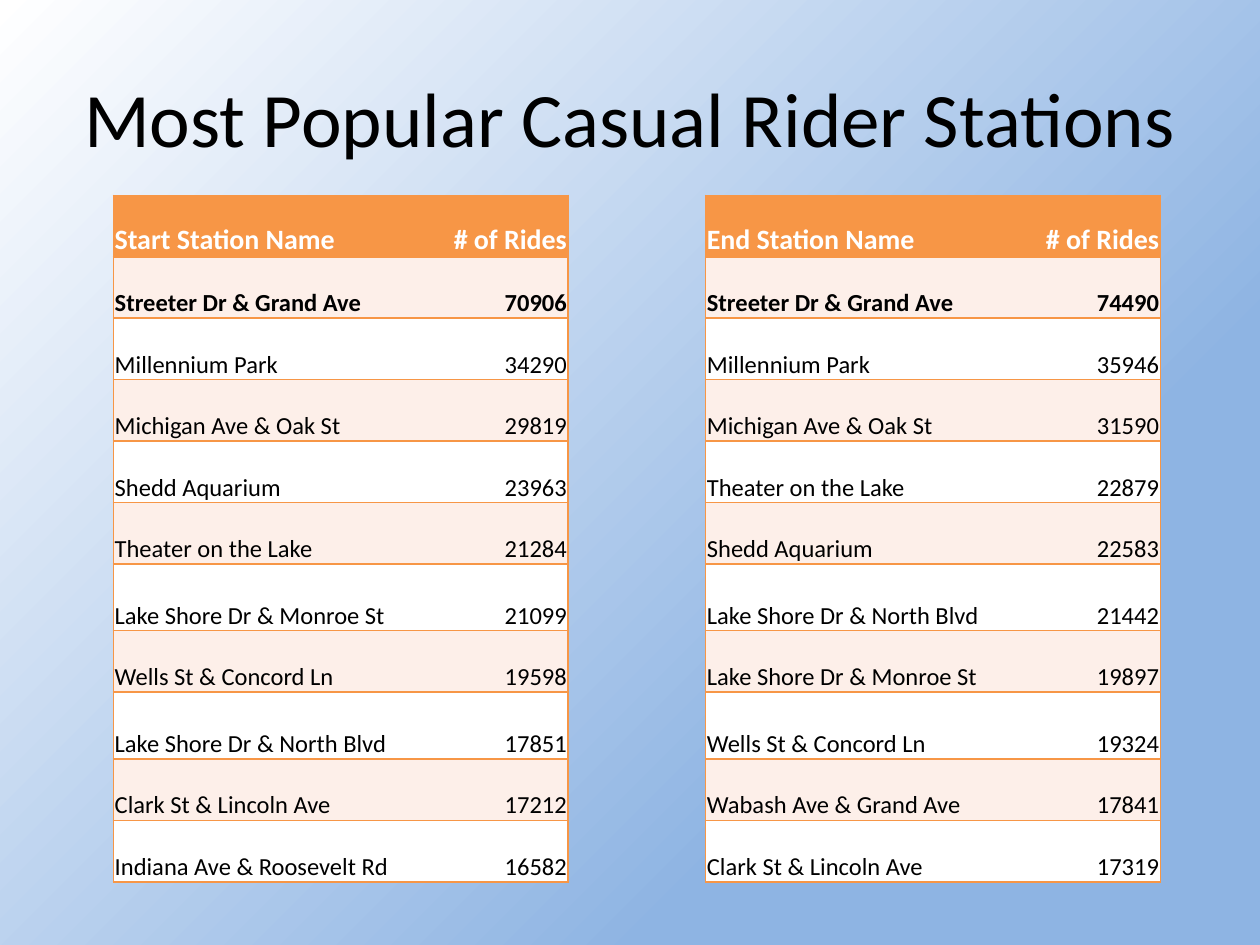
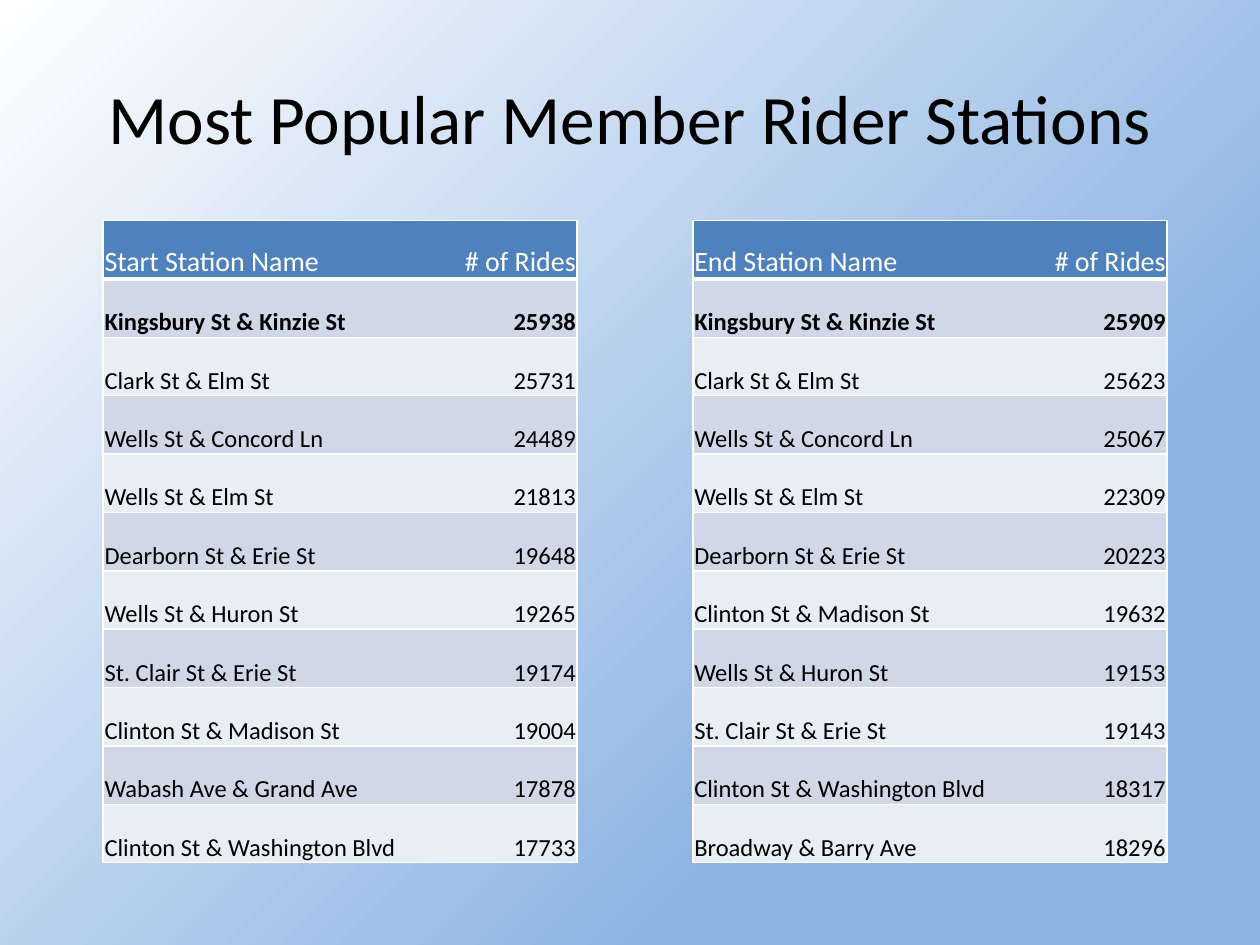
from lxml.etree import SubElement
from pptx import Presentation
from pptx.dml.color import RGBColor
from pptx.enum.text import MSO_ANCHOR, PP_ALIGN
from pptx.oxml import parse_xml
from pptx.oxml.ns import nsdecls, qn
from pptx.util import Pt

# Shared look
FONT = "Calibri"
BLACK, WHITE = "000000", "FFFFFF"
SKY = "8EB4E3"
PAD = 0.75

# Table themes: header fill, band fills, rule colour, width below header
ORANGE = {"head": "F79646", "bands": ("FDEFE9", "FFFFFF"),
          "rule": "F79646", "thick": 1, "bold": True}
BLUE = {"head": "4F81BD", "bands": ("D0D8E8", "E9EDF4"),
        "rule": WHITE, "thick": 3, "bold": False}

# Row heights: two casual rows are a little taller
CASUAL_ROWS = [38.1 if row in (6, 8) else 35.14 for row in range(11)]
MEMBER_ROWS = [33.38] * 11

# Station data
CASUAL_START = [
    ("Start Station Name", "# of Rides"),
    ("Streeter Dr & Grand Ave", "70906"),
    ("Millennium Park", "34290"),
    ("Michigan Ave & Oak St", "29819"),
    ("Shedd Aquarium", "23963"),
    ("Theater on the Lake", "21284"),
    ("Lake Shore Dr & Monroe St", "21099"),
    ("Wells St & Concord Ln", "19598"),
    ("Lake Shore Dr & North Blvd", "17851"),
    ("Clark St & Lincoln Ave", "17212"),
    ("Indiana Ave & Roosevelt Rd", "16582"),
]
CASUAL_END = [
    ("End Station Name", "# of Rides"),
    ("Streeter Dr & Grand Ave", "74490"),
    ("Millennium Park", "35946"),
    ("Michigan Ave & Oak St", "31590"),
    ("Theater on the Lake", "22879"),
    ("Shedd Aquarium", "22583"),
    ("Lake Shore Dr & North Blvd", "21442"),
    ("Lake Shore Dr & Monroe St", "19897"),
    ("Wells St & Concord Ln", "19324"),
    ("Wabash Ave & Grand Ave", "17841"),
    ("Clark St & Lincoln Ave", "17319"),
]
MEMBER_START = [
    ("Start Station Name", "# of Rides"),
    ("Kingsbury St & Kinzie St", "25938"),
    ("Clark St & Elm St", "25731"),
    ("Wells St & Concord Ln", "24489"),
    ("Wells St & Elm St", "21813"),
    ("Dearborn St & Erie St", "19648"),
    ("Wells St & Huron St", "19265"),
    ("St. Clair St & Erie St", "19174"),
    ("Clinton St & Madison St", "19004"),
    ("Wabash Ave & Grand Ave", "17878"),
    ("Clinton St & Washington Blvd", "17733"),
]
MEMBER_END = [
    ("End Station Name", "# of Rides"),
    ("Kingsbury St & Kinzie St", "25909"),
    ("Clark St & Elm St", "25623"),
    ("Wells St & Concord Ln", "25067"),
    ("Wells St & Elm St", "22309"),
    ("Dearborn St & Erie St", "20223"),
    ("Clinton St & Madison St", "19632"),
    ("Wells St & Huron St", "19153"),
    ("St. Clair St & Erie St", "19143"),
    ("Clinton St & Washington Blvd", "18317"),
    ("Broadway & Barry Ave", "18296"),
]


def paint(color, code):
    color.rgb = RGBColor.from_string(code)


def style(par, size, code, bold=False):
    for run in par.runs:
        run.font.name = FONT
        run.font.size = Pt(size)
        run.font.bold = bold
        paint(run.font.color, code)


def set_back(master):
    """Radial gradient spreading from the bottom right corner."""
    fill = master.background.fill
    fill.solid()
    paint(fill.fore_color, SKY)
    solid = next(master.element.iter(qn("a:solidFill")))
    solid.getparent().replace(solid, parse_xml(
        f'<a:gradFill {nsdecls("a")} rotWithShape="1"><a:gsLst>'
        f'<a:gs pos="28000"><a:srgbClr val="{SKY}"/></a:gs>'
        f'<a:gs pos="100000"><a:srgbClr val="{WHITE}"/></a:gs></a:gsLst>'
        '<a:path path="circle"><a:fillToRect l="100000" t="100000"/></a:path>'
        '</a:gradFill>'))


def add_page(deck, text, size):
    page = deck.slides.add_slide(deck.slide_layouts[5])
    title = page.shapes.title
    title.left, title.top = Pt(36), Pt(21.6)
    title.width, title.height = Pt(648), Pt(90)
    frame = title.text_frame
    frame.text = text
    frame.vertical_anchor = MSO_ANCHOR.MIDDLE
    frame.paragraphs[0].alignment = PP_ALIGN.CENTER
    style(frame.paragraphs[0], size, BLACK)
    return page


def add_rule(cell, side, width, code):
    """Border on one side (L, R, T or B); width 0 hides it."""
    line = SubElement(cell._tc.get_or_add_tcPr(), qn(f"a:ln{side}"),
                      w=str(Pt(width)))
    if width:
        fill = SubElement(line, qn("a:solidFill"))
        SubElement(fill, qn("a:srgbClr"), val=code)
    else:
        SubElement(line, qn("a:noFill"))


def fill_cell(cell, text, row, col, theme):
    head = row == 0
    # Outer sides and row rules show; the inner upright does not
    widths = {"L": 1 - col, "R": col,
              "T": theme["thick"] if row == 1 else 1,
              "B": theme["thick"] if head else 1}
    for side, width in widths.items():
        add_rule(cell, side, width, theme["rule"])
    cell.fill.solid()
    paint(cell.fill.fore_color,
          theme["head"] if head else theme["bands"][(row - 1) % 2])
    cell.margin_left = cell.margin_right = cell.margin_top = Pt(PAD)
    cell.margin_bottom = 0
    cell.vertical_anchor = MSO_ANCHOR.BOTTOM
    cell.text_frame.text = text
    par = cell.text_frame.paragraphs[0]
    par.alignment = PP_ALIGN.RIGHT if col else PP_ALIGN.LEFT
    if head:
        style(par, 16, WHITE, theme["bold"])
    else:
        style(par, 14, BLACK, row == 1)


def add_grid(page, left, top, cols, rows, data, theme):
    grid = page.shapes.add_table(len(rows), len(cols), Pt(left), Pt(top),
                                 Pt(sum(cols)), Pt(sum(rows))).table
    grid.horz_banding = False
    for col, width in enumerate(cols):
        grid.columns[col].width = Pt(width)
    for row, height in enumerate(rows):
        grid.rows[row].height = Pt(height)
        for col, text in enumerate(data[row]):
            fill_cell(grid.cell(row, col), text, row, col, theme)


def main():
    deck = Presentation()
    deck.slide_width, deck.slide_height = Pt(720), Pt(540)
    set_back(deck.slide_master)

    # Casual riders
    page = add_page(deck, "Most Popular Casual Rider Stations", 44)
    for left, data in ((64.8, CASUAL_START), (403.2, CASUAL_END)):
        add_grid(page, left, 111.6, (161.3, 98.6), CASUAL_ROWS, data, ORANGE)

    # Member riders
    page = add_page(deck, "Most Popular Member Rider Stations", 39.6)
    for left, cols, data in ((59, (189.4, 81.4), MEMBER_START),
                             (396, (190.8, 80), MEMBER_END)):
        add_grid(page, left, 126, cols, MEMBER_ROWS, data, BLUE)

    deck.save("out.pptx")


if __name__ == "__main__":
    main()
